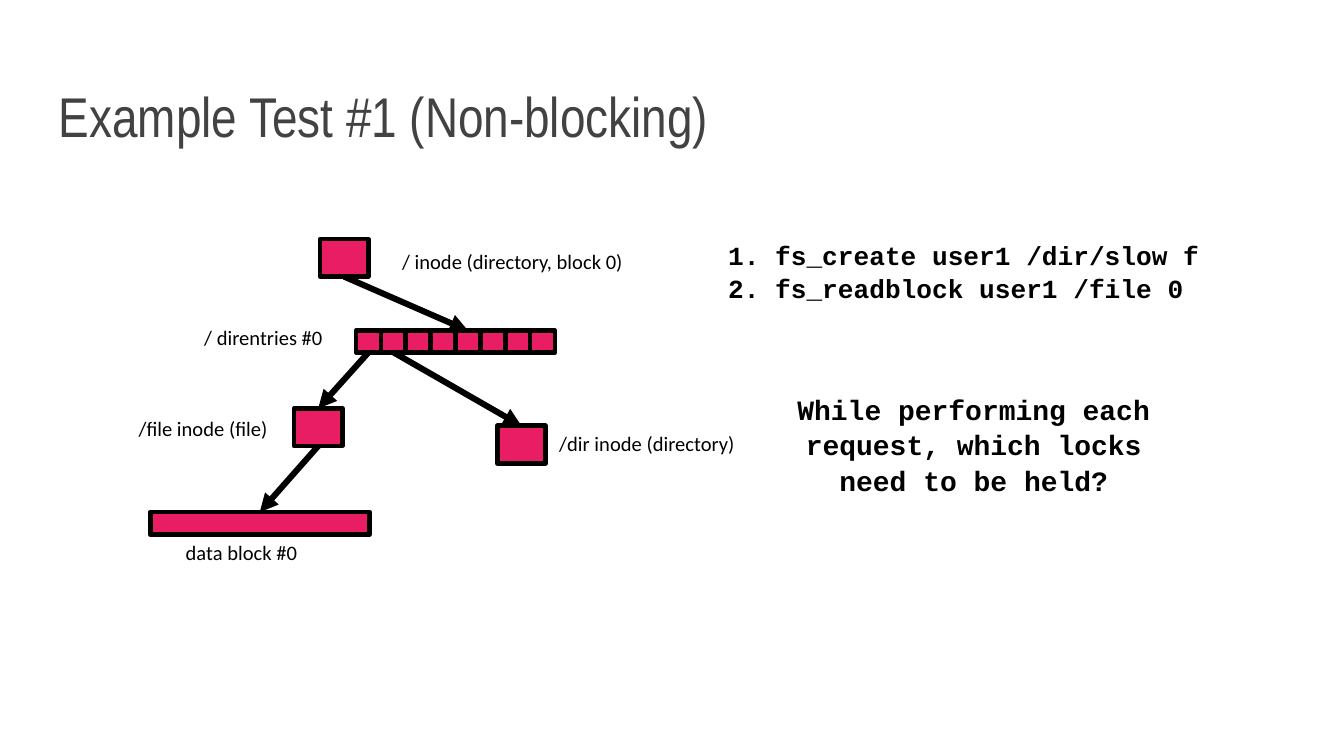
from lxml import etree
from pptx import Presentation
from pptx.dml.color import RGBColor
from pptx.enum.shapes import MSO_CONNECTOR, MSO_SHAPE
from pptx.enum.text import MSO_ANCHOR, PP_ALIGN
from pptx.oxml.ns import qn
from pptx.util import Cm, Pt

RECTANGLE = MSO_SHAPE.RECTANGLE
STRAIGHT = MSO_CONNECTOR.STRAIGHT
TOP, BOTTOM = MSO_ANCHOR.TOP, MSO_ANCHOR.BOTTOM
LEFT, CENTER = PP_ALIGN.LEFT, PP_ALIGN.CENTER
TOP_SIDE, BOTTOM_SIDE = 0, 2

THEME = {
    "ink": RGBColor(0x00, 0x00, 0x00),
    "title_ink": RGBColor(0x42, 0x42, 0x42),
    "block": RGBColor(0xE9, 0x1D, 0x63),
    "title_font": "Arial Narrow",
    "label_font": "Calibri",
    "code_font": "Courier New",
    "title_size": 30,
    "question_size": 15,
    "code_size": 14,
    "label_size": 11,
    "outline": 2.5,
    "arrow": 3.25,
}

# All boxes are left, top, width, height in centimetres.
TITLE = "Example Test #1 (Non-blocking)"
TITLE_BOX = (0.86, 1.04, 23.67, 2.03)
COMMANDS = ["1. fs_create user1 /dir/slow f", "2. fs_readblock user1 /file 0"]
COMMANDS_BOX = (13.51, 4.24, 10.59, 1.7)
QUESTION = "While performing each request, which locks need to be held?"
QUESTION_BOX = (14.25, 7.14, 8.31, 3.56)

INODE_SIZE = (0.91, 0.71)
BLOCKS = {
    "root inode": (6.05, 4.52, *INODE_SIZE),
    "file inode": (5.56, 7.72, *INODE_SIZE),
    "dir inode": (9.4, 8.05, *INODE_SIZE),
    "data block": (2.84, 9.68, 4.14, 0.43),
}
ENTRY_COUNT = 8
FIRST_ENTRY = (6.73, 6.25, 0.47, 0.41)
LABELS = [
    ("/ inode (directory, block 0)", (7.42, 4.6, 6.1, 0.58)),
    ("/ direntries #0", (3.68, 6.05, 3.15, 1.09)),
    ("/file inode (file)", (2.44, 7.77, 3.78, 0.58)),
    ("/dir inode (directory)", (10.39, 8.05, 5.26, 0.58)),
    ("data block #0", (3.33, 10.11, 3.15, 0.58)),
]
ARROWS = [
    ("root inode", "entry 4"),
    ("entry 0", "file inode"),
    ("entry 1", "dir inode"),
    ("file inode", "data block"),
]


def lengths(box):
    return [Cm(value) for value in box]


def place(shape, box):
    shape.left, shape.top, shape.width, shape.height = lengths(box)


def write(shape, lines, *, font, size, color=THEME["ink"], bold=False,
          align=LEFT, anchor=TOP, margins=(0.25, 0.25), spacing=1.0):
    frame = shape.text_frame
    frame.word_wrap = True
    frame.vertical_anchor = anchor
    frame.margin_left = frame.margin_right = Cm(margins[0])
    frame.margin_top = frame.margin_bottom = Cm(margins[1])
    for index, line in enumerate(lines):
        paragraph = frame.add_paragraph() if index else frame.paragraphs[0]
        paragraph.alignment = align
        paragraph.line_spacing = spacing
        paragraph.space_before = paragraph.space_after = Pt(0)
        run = paragraph.add_run()
        run.text = line
        run.font.name = font
        run.font.size = Pt(size)
        run.font.bold = bold
        run.font.color.rgb = color


def remove_bullets(shape):
    for paragraph in shape.text_frame.paragraphs:
        properties = paragraph._p.get_or_add_pPr()
        properties.set("marL", "0")
        properties.set("indent", "0")
        etree.SubElement(properties, qn("a:buNone"))


def add_block(shapes, box):
    block = shapes.add_shape(RECTANGLE, *lengths(box))
    block.shadow.inherit = False
    block.fill.solid()
    block.fill.fore_color.rgb = THEME["block"]
    block.line.color.rgb = THEME["ink"]
    block.line.width = Pt(THEME["outline"])
    return block


def add_arrow(slide, source, target):
    """Point from the bottom of one block to the top of another."""
    arrow = slide.shapes.add_connector(STRAIGHT, 0, 0, 0, 0)
    arrow.begin_connect(source, BOTTOM_SIDE)
    arrow.end_connect(target, TOP_SIDE)
    arrow.line.color.rgb = THEME["ink"]
    arrow.line.width = Pt(THEME["arrow"])
    etree.SubElement(arrow.line._get_or_add_ln(), qn("a:tailEnd"), type="triangle")
    etree.SubElement(arrow._element.spPr, qn("a:effectLst"))


def add_diagram(slide):
    blocks = {name: add_block(slide.shapes, box) for name, box in BLOCKS.items()}
    entries = slide.shapes.add_group_shape()
    left, top, width, height = FIRST_ENTRY
    for index in range(ENTRY_COUNT):
        box = (left + index * width, top, width, height)
        blocks[f"entry {index}"] = add_block(entries.shapes, box)
    for source, target in ARROWS:
        add_arrow(slide, blocks[source], blocks[target])
    for text, box in LABELS:
        label = slide.shapes.add_textbox(*lengths(box))
        write(label, [text], font=THEME["label_font"], size=THEME["label_size"],
              margins=(0.18, 0.1))


def main():
    presentation = Presentation()
    presentation.slide_width, presentation.slide_height = Cm(25.4), Cm(14.29)
    slide = presentation.slides.add_slide(presentation.slide_layouts[1])
    title, commands = slide.placeholders

    place(title, TITLE_BOX)
    write(title, [TITLE], font=THEME["title_font"], size=THEME["title_size"],
          color=THEME["title_ink"], anchor=BOTTOM)

    code = {"font": THEME["code_font"], "bold": True, "spacing": 1.05}
    place(commands, COMMANDS_BOX)
    write(commands, COMMANDS, size=THEME["code_size"], **code)
    remove_bullets(commands)

    question = slide.shapes.add_textbox(*lengths(QUESTION_BOX))
    write(question, [QUESTION], size=THEME["question_size"], align=CENTER, **code)

    add_diagram(slide)
    presentation.save("out.pptx")


if __name__ == "__main__":
    main()
